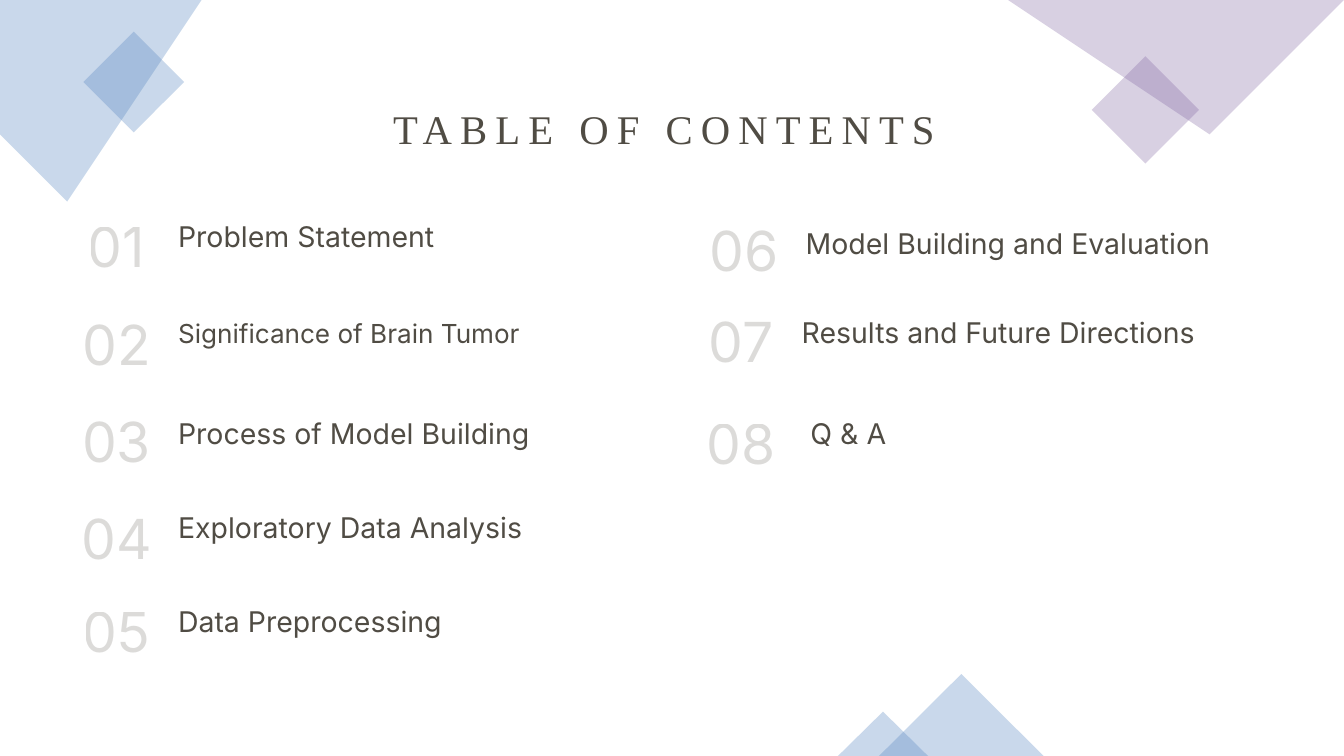
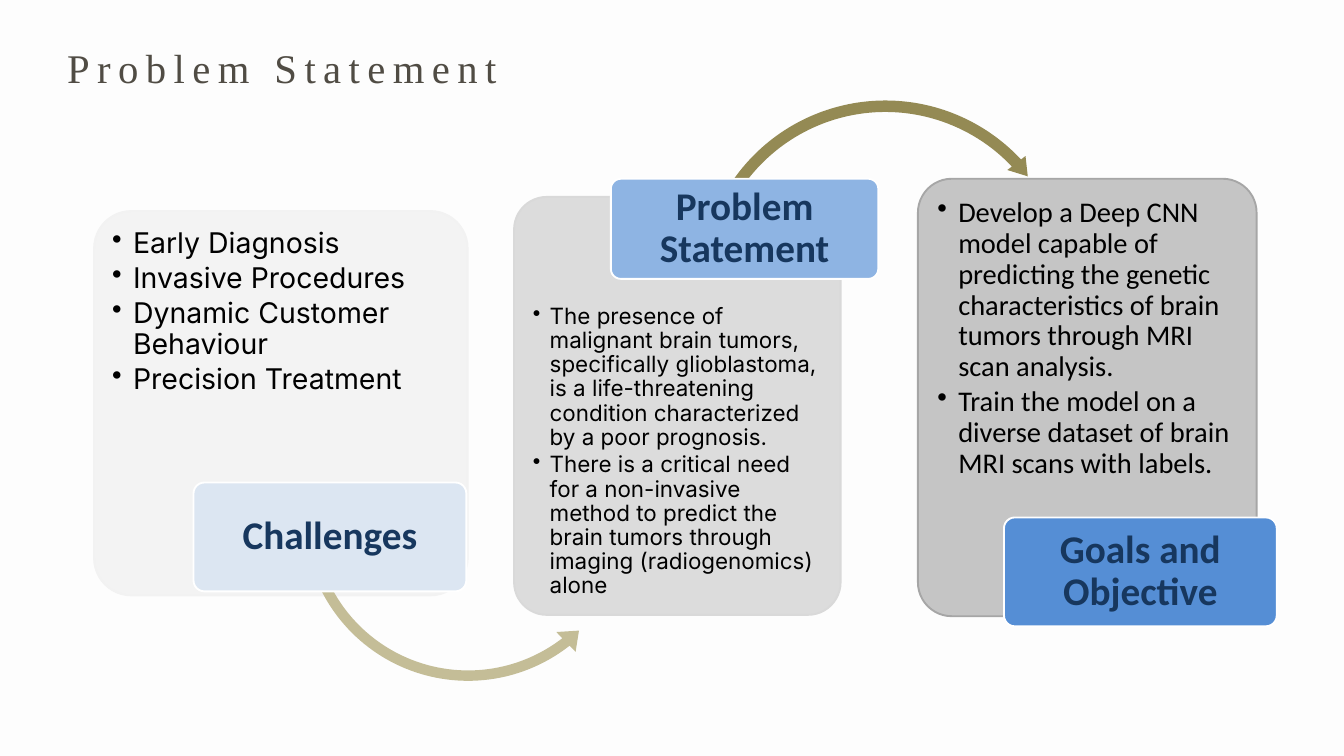
from dataclasses import dataclass

from lxml import etree
from pptx import Presentation
from pptx.dml.color import RGBColor
from pptx.enum.shapes import MSO_SHAPE
from pptx.enum.text import MSO_ANCHOR, MSO_AUTO_SIZE, PP_ALIGN
from pptx.oxml.ns import qn
from pptx.util import Inches, Pt

RECT = MSO_SHAPE.RECTANGLE
ROUND = MSO_SHAPE.ROUNDED_RECTANGLE
PEAK = MSO_SHAPE.ISOSCELES_TRIANGLE
ARC = MSO_SHAPE.CIRCULAR_ARROW
LEFT_ARC = MSO_SHAPE.LEFT_CIRCULAR_ARROW
LEFT, CENTER = PP_ALIGN.LEFT, PP_ALIGN.CENTER
TOP, MIDDLE = MSO_ANCHOR.TOP, MSO_ANCHOR.MIDDLE
GROW, FIXED = MSO_AUTO_SIZE.SHAPE_TO_FIT_TEXT, MSO_AUTO_SIZE.NONE


@dataclass(frozen=True)
class Theme:
    # Colours
    ink: str = "504C44"
    black: str = "000000"
    white: str = "FFFFFF"
    paper: str = "FDFDFD"
    navy: str = "17375E"
    blue: str = "4F81BD"
    purple: str = "8064A2"
    sand: str = "C4BD97"
    olive: str = "948A54"
    mist: str = "F2F2F2"
    silver: str = "D9D9D9"
    gray: str = "BFBFBF"
    steel: str = "A6A6A6"
    ice: str = "DCE6F2"
    sky: str = "8EB4E3"
    azure: str = "558ED5"
    # Fonts
    serif: str = "Times New Roman"
    sans: str = "Inter"
    plain: str = "Calibri"
    # Type sizes in points
    title: float = 43.6
    label: float = 42
    number: float = 59.1
    body: float = 30.5
    item: float = 28
    small: float = 24


class Deck:
    def __init__(self, theme):
        self.theme = theme
        self.prs = Presentation()
        self.prs.slide_width = Inches(20)
        self.prs.slide_height = Inches(11.25)
        self.slide = None

    def page(self, color):
        self.slide = self.prs.slides.add_slide(self.prs.slide_layouts[6])
        self.paint(self.slide.background.fill, color)

    def fade(self, fill, alpha):
        """Make a solid fill see-through; alpha is a percentage."""
        color = fill._xPr.find(qn("a:solidFill"))[0]
        etree.SubElement(color, qn("a:alpha")).set("val", str(alpha * 1000))

    def paint(self, fill, color, alpha=100):
        fill.solid()
        fill.fore_color.rgb = RGBColor.from_string(color)
        if alpha < 100:
            self.fade(fill, alpha)

    def style(self, shape, color, alpha, edge):
        shape.shadow.inherit = False
        self.paint(shape.fill, color, alpha)
        if edge:
            self.paint(shape.line.fill, edge)
            shape.line.width = Pt(2)
        else:
            shape.line.fill.background()
        return shape

    def shape(self, kind, box, color, alpha=100, edge=None, turn=0, adj=()):
        shape = self.slide.shapes.add_shape(kind, *map(Inches, box))
        shape.rotation = turn
        for i, value in enumerate(adj):
            shape.adjustments[i] = value
        return self.style(shape, color, alpha, edge)

    def outline(self, points, color, alpha):
        pen = self.slide.shapes.build_freeform(
            *points[0], scale=Inches(1))
        pen.add_line_segments(points[1:], close=True)
        return self.style(pen.convert_to_shape(), color, alpha, None)

    def frame(self, shape, pad=(0, 0), anchor=TOP, fit=FIXED):
        side, top = map(Inches, pad)
        looks = {"word_wrap": True, "auto_size": fit,
                 "vertical_anchor": anchor,
                 "margin_left": side, "margin_right": side,
                 "margin_top": top, "margin_bottom": top}
        for name, value in looks.items():
            setattr(shape.text_frame, name, value)
        return shape.text_frame

    def words(self, frame, lines, font, size, color, align=LEFT, lead=None,
              after=0, bold=False, alpha=100, track=0, hang=0):
        for i, line in enumerate(lines):
            para = frame.paragraphs[0] if i == 0 else frame.add_paragraph()
            looks = {"alignment": align, "line_spacing": lead,
                     "space_after": Pt(after), "level": 1 if hang else 0}
            for name, value in looks.items():
                setattr(para, name, value)
            if hang:
                props = para._p.get_or_add_pPr()
                props.set("marL", str(Inches(hang)))
                props.set("indent", str(Inches(-hang)))
                etree.SubElement(props, qn("a:buChar")).set("char", "•")
            run = para.add_run()
            run.text = line
            looks = {"name": font, "size": Pt(size), "bold": bold}
            for name, value in looks.items():
                setattr(run.font, name, value)
            self.paint(run.font.fill, color, alpha)
            if track:
                run.font._rPr.set("spc", str(round(track * 100)))

    def text(self, box, lines, font, size, color, pad=(0, 0), fit=GROW,
             **looks):
        shape = self.slide.shapes.add_textbox(*map(Inches, box))
        frame = self.frame(shape, pad, fit=fit)
        self.words(frame, lines, font, size, color, **looks)

    def title(self, box, line, **looks):
        t = self.theme
        self.text(box, [line], t.serif, t.title, t.ink, **looks)

    def entry(self, num, spot, line, place, size):
        """A pale number with its heading."""
        t = self.theme
        self.text((*spot, 1.35, 1.11), [f"{num:02}"], t.sans, t.number,
                  t.ink, align=CENTER, lead=Pt(82.8), after=6, alpha=20)
        self.text((*place, 6.95, 0.43), [line], t.sans, size, t.ink,
                  lead=Pt(30.5), after=6)

    def panel(self, box, color, edge, area, lines, font, size, hang):
        self.shape(ROUND, box, color, 90, edge, adj=[0.1])
        self.text(area, lines, font, size, self.theme.black, (0.14, 0.14),
                  FIXED, lead=0.9, after=round(size * 0.15, 1), hang=hang)

    def label(self, box, color, line):
        t = self.theme
        shape = self.shape(ROUND, box, color, edge=t.white, adj=[0.1])
        frame = self.frame(shape, (0.13, 0.1), MIDDLE)
        self.words(frame, [line], t.plain, t.label, t.navy, align=CENTER,
                   lead=0.9, bold=True)


def contents(deck):
    t = deck.theme
    deck.page(t.white)

    # Corner diamonds
    deck.outline([(2.29, 0), (0, 0), (0, 1.95), (0.62, 2.57), (2.74, 0.45)],
                 t.blue, 30)
    deck.shape(RECT, (1.46, 0.69, 1.06, 1.06), t.blue, 30, turn=315)
    deck.shape(RECT, (16.48, 1.07, 1.13, 1.13), t.purple, 30, turn=315)
    deck.outline([(20, 0), (15.35, 0), (17.9, 2.43), (20, 0.42)],
                 t.purple, 30)
    for box in ((13.08, 10.03, 2.45, 1.22), (12.47, 10.59, 1.34, 0.66)):
        deck.shape(PEAK, box, t.blue, 30)

    deck.title((4.37, 1.42, 11.03, 0.83), "TABLE OF CONTENTS",
               align=CENTER, lead=Pt(61), after=6, track=8.7)

    # Numbered headings: number spot, line, line spot, size
    rows = [
        ((1.06, 3), "Problem Statement", (2.65, 3.34), t.body),
        ((1.06, 4.45), "Significance of Brain Tumor", (2.65, 4.76), t.item),
        ((1.06, 5.89), "Process of Model Building", (2.65, 6.27), t.body),
        ((1.06, 7.34), "Exploratory Data Analysis", (2.65, 7.68), t.body),
        ((1.06, 8.73), "Data Preprocessing", (2.65, 9.07), t.body),
        ((10.4, 3.05), "Model Building and Evaluation", (11.99, 3.45),
         t.body),
        ((10.35, 4.41), "Results and Future Directions", (11.93, 4.77),
         t.body),
        ((10.35, 5.93), "Q & A", (12.06, 6.27), t.body),
    ]
    for num, row in enumerate(rows, 1):
        deck.entry(num, *row)


def problem(deck):
    t = deck.theme
    deck.page(t.paper)
    deck.title((1, 0.59, 11.08, 0.79), "Problem Statement",
               lead=Pt(56), track=8)

    # Challenges
    deck.panel((1.4, 3.14, 5.56, 5.72), t.mist, t.mist,
               (1.53, 3.27, 5.29, 4.23),
               ["Early Diagnosis", "Invasive Procedures",
                "Dynamic Customer Behaviour", "Precision Treatment"],
               t.sans, t.body, 0.31)
    deck.shape(LEFT_ARC, (4.39, 5.11, 5.15, 5.15), t.sand, turn=16.9,
               adj=[0.03, 3.73, 21.08, 89.85, 0.04])
    deck.label((2.88, 7.18, 4.06, 1.62), t.ice, "Challenges")

    # Problem statement
    deck.panel((7.65, 2.93, 4.86, 6.22), t.silver, t.silver,
               (7.79, 4.4, 4.58, 4.6),
               ["The presence of malignant brain tumors, specifically "
                "glioblastoma, is a life-threatening condition "
                "characterized by a poor prognosis.",
                "There is a critical need for a non-invasive method to "
                "predict the brain tumors through imaging "
                "(radiogenomics) alone"],
               t.sans, t.small, 0.25)
    deck.shape(ARC, (10.33, 1.41, 5.69, 5.69), t.olive, turn=345.3,
               adj=[0.03, 3.35, 198.92, 129.78, 0.03])
    deck.label((9.09, 2.66, 3.98, 1.49), t.sky, "Problem Statement")

    # Goals
    deck.panel((13.66, 2.66, 5.04, 6.51), t.gray, t.steel,
               (13.81, 2.81, 4.75, 4.82),
               ["Develop a Deep CNN model capable of predicting the "
                "genetic characteristics of brain tumors through MRI "
                "scan analysis.",
                "Train the model on a diverse dataset of brain MRI scans "
                "with labels."],
               t.plain, t.body, 0.31)
    deck.label((14.94, 7.7, 4.06, 1.62), t.azure, "Goals and Objective")


def main():
    deck = Deck(Theme())
    contents(deck)
    problem(deck)
    deck.prs.save("out.pptx")


if __name__ == "__main__":
    main()
